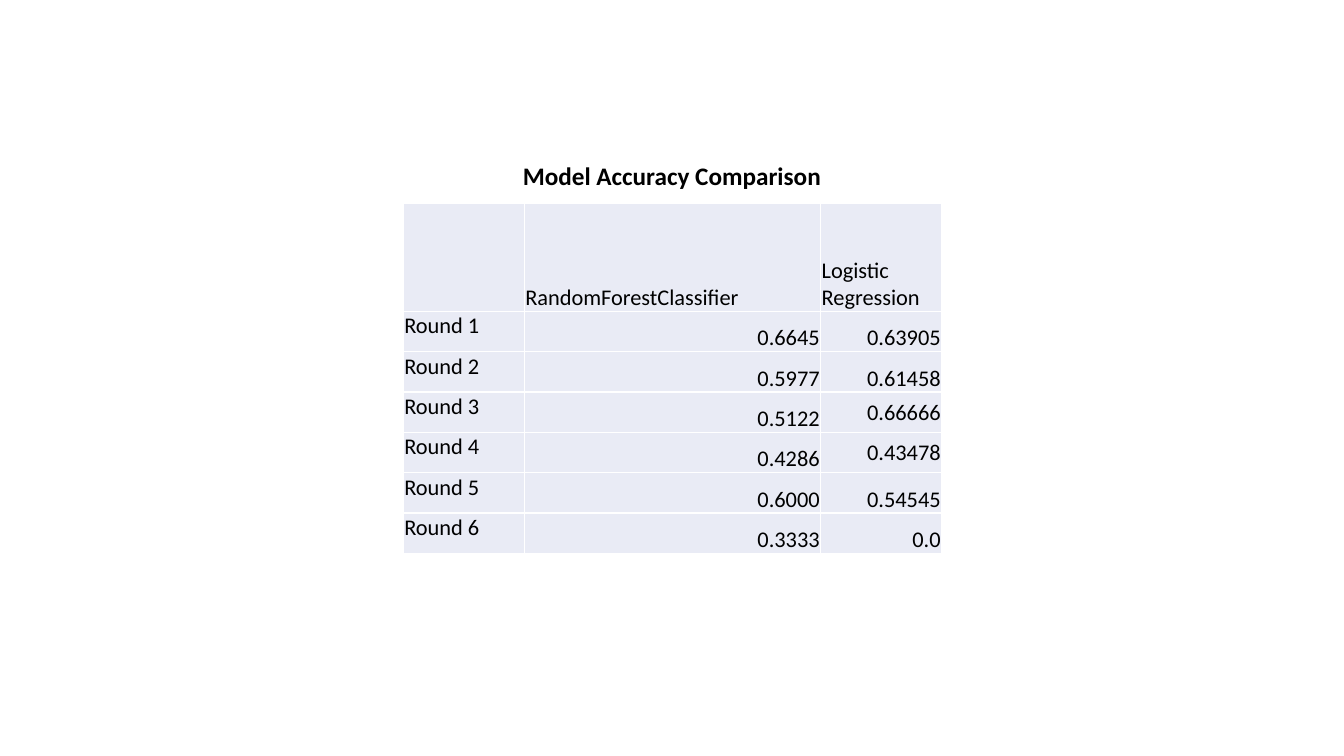
import pptx
import pptx.dml.color
import pptx.enum.text
import pptx.oxml.ns
import pptx.util
from lxml import etree

Inches = pptx.util.Inches
Pt = pptx.util.Pt
RGBColor = pptx.dml.color.RGBColor
Anchor = pptx.enum.text.MSO_ANCHOR
Align = pptx.enum.text.PP_ALIGN

BLACK = RGBColor(0x00, 0x00, 0x00)
WHITE = RGBColor(0xFF, 0xFF, 0xFF)
CELL_FILL = RGBColor(0xE9, 0xEB, 0xF5)
FONT = "Calibri"

COLUMN_WIDTHS = [1.2, 2.94, 1.2]
HEADER_HEIGHT = 1.07
ROUND_HEIGHT = 0.4
HEADER = ["", "RandomForestClassifier", "Logistic Regression"]
ACCURACIES = [
    ("0.6645", "0.63905"),
    ("0.5977", "0.61458"),
    ("0.5122", "0.66666"),
    ("0.4286", "0.43478"),
    ("0.6000", "0.54545"),
    ("0.3333", "0.0"),
]
MIDDLE_CELLS = {(3, 2), (4, 2)}


def style_text(para, size, align, bold=False):
    para.alignment = align
    para.font.name = FONT
    para.font.size = Pt(size)
    para.font.bold = bold
    para.font.color.rgb = BLACK


def add_borders(cell):
    properties = cell._tc.get_or_add_tcPr()
    qn = pptx.oxml.ns.qn
    for side in ("a:lnL", "a:lnR", "a:lnT", "a:lnB"):
        line = etree.SubElement(properties, qn(side), w=str(Pt(1)))
        fill = etree.SubElement(line, qn("a:solidFill"))
        etree.SubElement(fill, qn("a:srgbClr"), val=str(WHITE))


def fill_cell(cell, text, align, anchor):
    add_borders(cell)
    cell.fill.solid()
    cell.fill.fore_color.rgb = CELL_FILL
    cell.margin_left = cell.margin_right = cell.margin_top = Inches(0.01)
    cell.margin_bottom = 0
    cell.vertical_anchor = anchor
    cell.text = text
    style_text(cell.text_frame.paragraphs[0], 16, align)


def add_title(page, left, top, width, height):
    box = page.shapes.add_textbox(Inches(left), Inches(top), Inches(width), Inches(height))
    frame = box.text_frame
    frame.word_wrap = True
    frame.auto_size = pptx.enum.text.MSO_AUTO_SIZE.SHAPE_TO_FIT_TEXT
    para = frame.paragraphs[0]
    para.text = "Model Accuracy Comparison"
    style_text(para, 18, Align.CENTER, bold=True)


def add_accuracy_table(page, left, top):
    rounds = [(f"Round {number}", *values) for number, values in enumerate(ACCURACIES, 1)]
    rows = [HEADER] + rounds
    heights = [HEADER_HEIGHT] + [ROUND_HEIGHT] * len(rounds)
    table = page.shapes.add_table(
        len(rows), len(HEADER), Inches(left), Inches(top),
        Inches(sum(COLUMN_WIDTHS)), Inches(sum(heights)),
    ).table
    table.first_row = False
    table.horz_banding = False
    for column, width in zip(table.columns, COLUMN_WIDTHS):
        column.width = Inches(width)
    for row, height in zip(table.rows, heights):
        row.height = Inches(height)
    for row_index, texts in enumerate(rows):
        for column_index, text in enumerate(texts):
            is_value = row_index > 0 and column_index > 0
            align = Align.RIGHT if is_value else Align.LEFT
            if (row_index, column_index) in MIDDLE_CELLS:
                anchor = Anchor.MIDDLE
            else:
                anchor = Anchor.TOP if column_index == 0 else Anchor.BOTTOM
            fill_cell(table.cell(row_index, column_index), text, align, anchor)


def main():
    deck = pptx.Presentation()
    deck.slide_width = Inches(13.33)
    deck.slide_height = Inches(7.5)
    page = deck.slides.add_slide(deck.slide_layouts[6])
    add_accuracy_table(page, 4, 2.02)
    add_title(page, 4.68, 1.54, 3.97, 0.4)
    deck.save("out.pptx")


if __name__ == "__main__":
    main()
